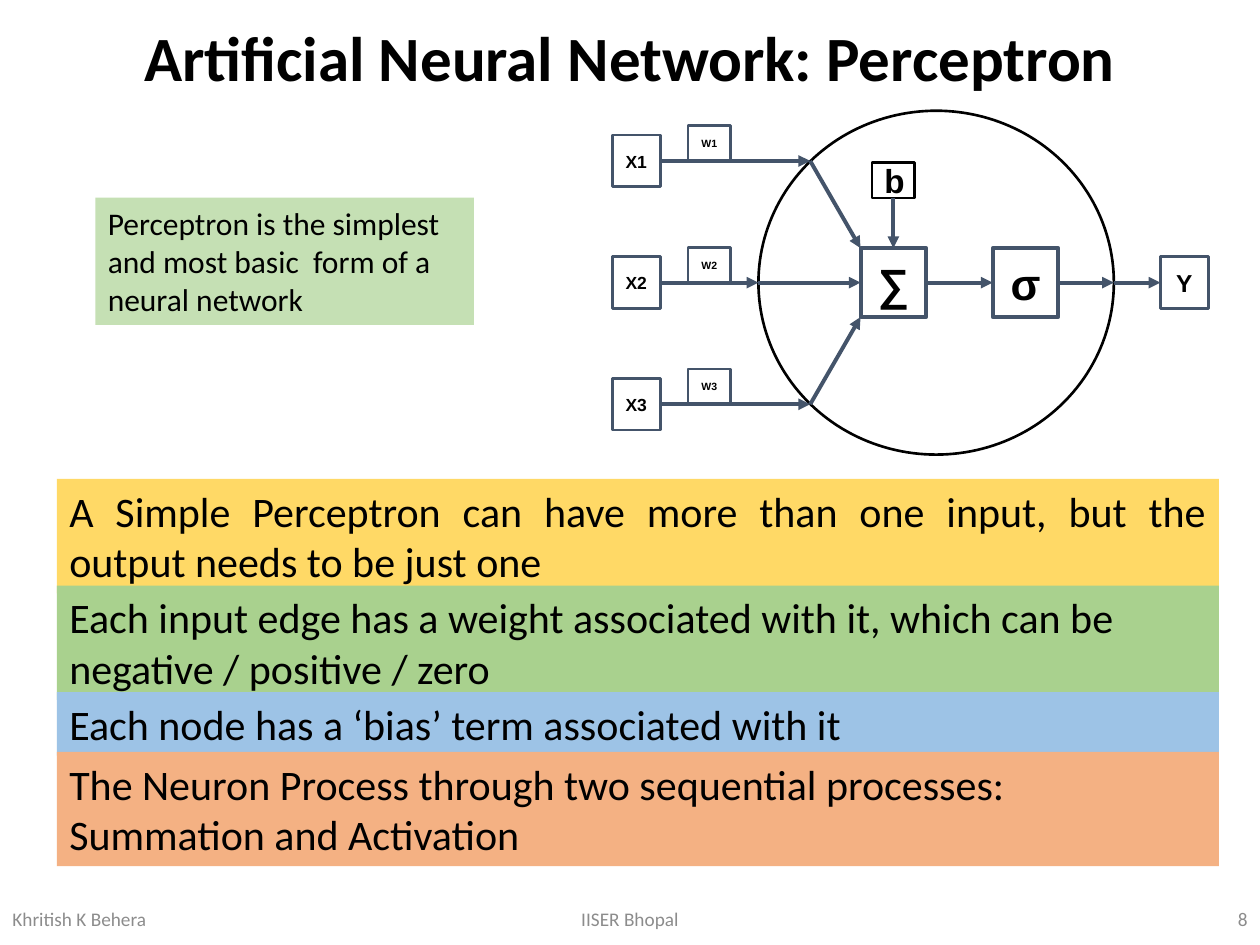
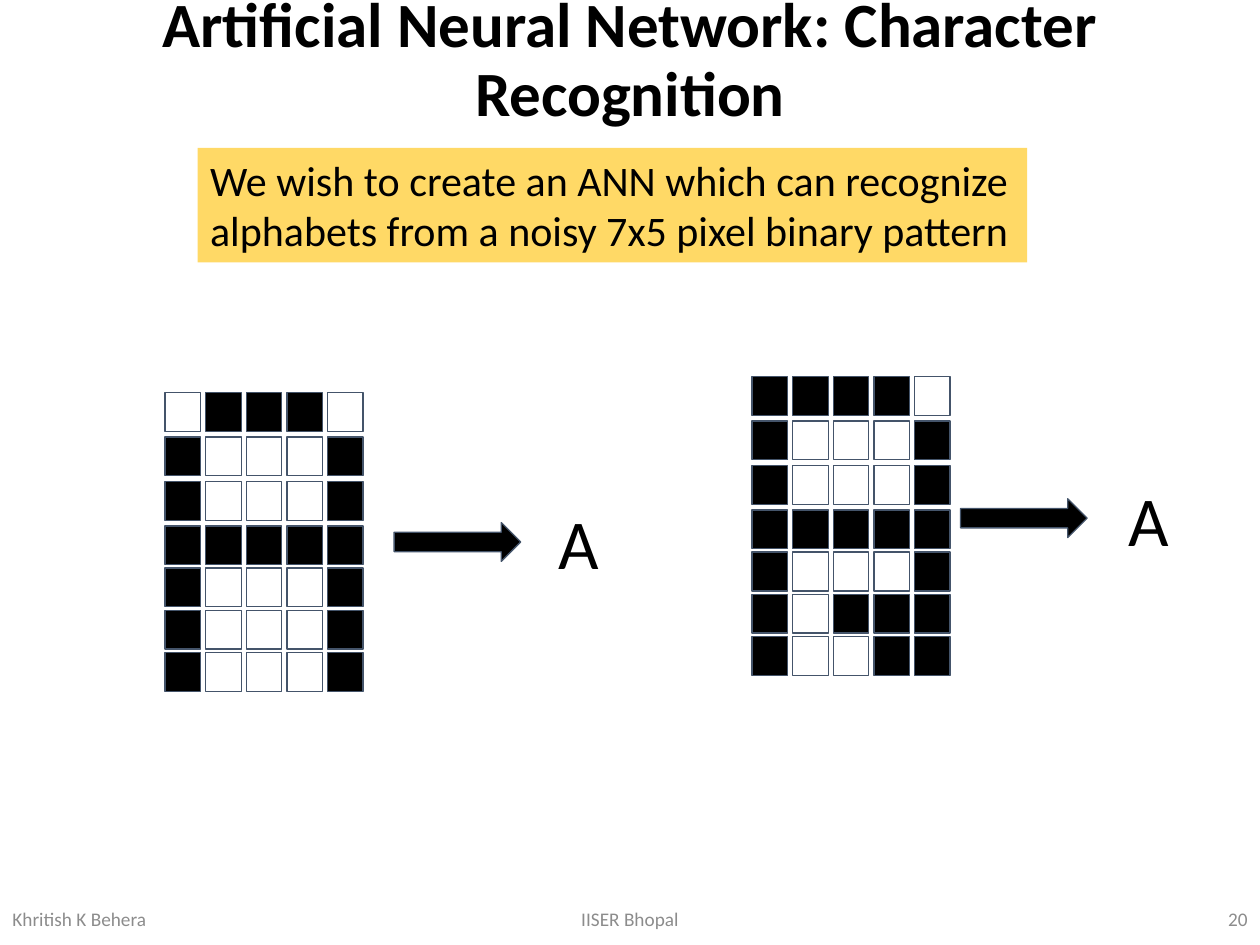
from dataclasses import dataclass

from lxml import etree
from pptx import Presentation
from pptx.dml.color import RGBColor
from pptx.enum.shapes import MSO_CONNECTOR as CONN, MSO_SHAPE as SHAPE
from pptx.enum.text import MSO_ANCHOR as ANCHOR, MSO_AUTO_SIZE as FIT, PP_ALIGN as ALIGN
from pptx.oxml.ns import qn
from pptx.util import Pt

TOP, LEFT, BOTTOM, RIGHT = range(4)  # connection sites of a rectangle


@dataclass(frozen=True)
class Theme:
    body: str = "Calibri"
    label: str = "Arial"
    black: str = "000000"
    white: str = "FFFFFF"
    slate: str = "44546A"
    gray: str = "8C8C8C"
    yellow: str = "FFD966"
    green: str = "A9D18E"
    pale_green: str = "C5E0B4"
    blue: str = "9DC3E6"
    orange: str = "F4B183"
    title_size: int = 36
    note_size: int = 24
    small_note_size: int = 18
    footer_size: int = 11
    letter_size: int = 40
    input_size: int = 10
    weight_size: int = 6
    bias_size: int = 19
    symbol_size: int = 25
    output_size: int = 14
    thin: float = 0.75
    medium: float = 1.5
    thick: float = 2.25


def write_text(sp, text, font, size, color, bold=False, align=ALIGN.LEFT,
               anchor=ANCHOR.TOP, inset=None, spacing=None, fit=FIT.NONE):
    """Put one formatted paragraph into a shape."""
    tf = sp.text_frame
    tf.word_wrap, tf.auto_size, tf.vertical_anchor = True, fit, anchor
    if inset is not None:
        tf.margin_left = tf.margin_right = Pt(inset)
        tf.margin_top = tf.margin_bottom = Pt(inset)
    p = tf.paragraphs[0]
    p.alignment = align
    if spacing:
        p.line_spacing = spacing
    r = p.add_run()
    r.text = text
    r.font.name, r.font.size, r.font.bold = font, Pt(size), bold
    r.font.color.rgb = RGBColor.from_string(color)


class Deck:
    """Holds the theme and the slide being drawn."""

    def __init__(self, theme):
        self.theme = theme
        self.prs = Presentation()
        self.prs.slide_width, self.prs.slide_height = Pt(720), Pt(540)
        self.s = None

    def start_slide(self, title, number):
        t = self.theme
        self.s = self.prs.slides.add_slide(self.prs.slide_layouts[5])
        sp = self.s.shapes.title
        sp.left, sp.top, sp.width, sp.height = Pt(0), Pt(0.7), Pt(720), Pt(69)
        write_text(sp, title, t.body, t.title_size, t.black, bold=True,
                   align=ALIGN.CENTER, anchor=ANCHOR.MIDDLE, spacing=0.9)
        # Footer: author, institute, page number
        for x, w, text, align in ((0, 162, "Khritish K Behera", ALIGN.LEFT),
                                  (238.5, 243, "IISER Bhopal", ALIGN.CENTER),
                                  (558, 162, str(number), ALIGN.RIGHT)):
            self.text(x, 510.5, w, 28.8, text, size=t.footer_size, color=t.gray,
                      align=align, anchor=ANCHOR.MIDDLE)

    def text(self, x, y, w, h, text, **fmt):
        sp = self.s.shapes.add_textbox(Pt(x), Pt(y), Pt(w), Pt(h))
        write_text(sp, text, **{"font": self.theme.body, "color": self.theme.black, **fmt})

    def shape(self, kind, x, y, w, h, fill=None, line=None, weight=None):
        sp = self.s.shapes.add_shape(kind, Pt(x), Pt(y), Pt(w), Pt(h))
        sp.shadow.inherit = False
        if fill:
            sp.fill.solid()
            sp.fill.fore_color.rgb = RGBColor.from_string(fill)
        else:
            sp.fill.background()
        if line:
            sp.line.color.rgb = RGBColor.from_string(line)
            sp.line.width = Pt(weight)
        else:
            sp.line.fill.background()
        return sp

    def note(self, x, y, w, h, text, fill, size=None, align=ALIGN.LEFT):
        t = self.theme
        sp = self.shape(SHAPE.RECTANGLE, x, y, w, h, fill)
        write_text(sp, text, t.body, size or t.note_size, t.black, align=align,
                   fit=FIT.SHAPE_TO_FIT_TEXT)

    def node(self, cx, cy, w, h, text, size, line=None, weight=None):
        """Labelled box placed by its centre."""
        t = self.theme
        sp = self.shape(SHAPE.RECTANGLE, cx - w / 2, cy - h / 2, w, h,
                        line=line or t.slate, weight=weight or t.medium)
        write_text(sp, text, t.label, size, t.black, bold=True, align=ALIGN.CENTER,
                   anchor=ANCHOR.MIDDLE, inset=7.2)
        return sp

    def arrow(self, start, end):
        """Each end is a point (x, y) or a joined side (shape, site)."""
        joins = [e if hasattr(e[0], "shape_id") else None for e in (start, end)]
        pts = [(0, 0) if j else e for j, e in zip(joins, (start, end))]
        c = self.s.shapes.add_connector(CONN.STRAIGHT, *(Pt(v) for pt in pts for v in pt))
        for join, connect in zip(joins, (c.begin_connect, c.end_connect)):
            if join:
                connect(*join)
        c.line.color.rgb = RGBColor.from_string(self.theme.slate)
        c.line.width = Pt(self.theme.thick)
        ln = c.line._get_or_add_ln()
        etree.SubElement(ln, qn("a:tailEnd"), type="triangle")
        etree.SubElement(c._element.spPr, qn("a:effectLst"))

    def pixel_letter(self, x, y, rows):
        """Grid of cells, '#' for black; the lower rows sit closer together."""
        t = self.theme
        for i, row in enumerate(rows):
            cy = y + 25.4 * min(i, 3) + 24.1 * max(i - 3, 0)
            for j, mark in enumerate(row):
                self.shape(SHAPE.RECTANGLE, x + 23.2 * j, cy, 20.3, 22.2,
                           t.black if mark == "#" else t.white, t.slate, t.thin)

    def recognition(self, grid, arrow, letter, rows):
        """Pixel pattern, block arrow and the letter it stands for."""
        t = self.theme
        self.pixel_letter(*grid, rows)
        self.shape(SHAPE.RIGHT_ARROW, *arrow, 72.3, 22.2, t.black, t.slate, t.thin)
        self.text(*letter, 59, 63.4, "A", size=t.letter_size, align=ALIGN.CENTER,
                  inset=7.2, fit=FIT.SHAPE_TO_FIT_TEXT)


def perceptron_slide(deck):
    t = deck.theme
    deck.start_slide("Artificial Neural Network: Perceptron", 8)

    # Neuron body and the boxes inside and after it
    mid, pitch = 161.5, 69.5
    neuron_left, neuron_right, entry_x = 433.4, 636.5, 463
    deck.shape(SHAPE.OVAL, neuron_left, 63.3, neuron_right - neuron_left, 196.5,
               t.white, t.black, t.medium)
    sum_x, sum_w, sum_h = 510.5, 37.5, 39.4
    total = deck.node(sum_x, mid, sum_w, sum_h, "∑", t.symbol_size, weight=t.thick)
    sigma = deck.node(586, mid, sum_w, sum_h, "σ", t.symbol_size, weight=t.thick)
    bias = deck.node(sum_x, 103, 24.5, 20.2, "b", t.bias_size, line=t.black)
    output = deck.node(676.8, mid, 27.5, 29.5, "Y", t.output_size)

    # Weighted inputs, each led to the neuron and on to the sum
    corner_x = sum_x - sum_w / 2
    targets = ((corner_x, mid - sum_h / 2), (total, LEFT), (corner_x, mid + sum_h / 2))
    for i, target in enumerate(targets):
        y = mid + pitch * (i - 1)
        entry = (neuron_left if i == 1 else entry_x, y)
        x_node = deck.node(363.6, y, 27.5, 29.5, f"X{i + 1}", t.input_size)
        deck.node(405.4, y - 10.1, 24.5, 20.2, f"W{i + 1}", t.weight_size)
        deck.arrow((x_node, RIGHT), entry)
        deck.arrow(entry, target)

    # Flow to the output
    deck.arrow((total, RIGHT), (sigma, LEFT))
    deck.arrow((bias, BOTTOM), (total, TOP))
    deck.arrow((sigma, RIGHT), (neuron_right, mid))
    deck.arrow((neuron_right, mid), (output, LEFT))

    # Notes
    for y, h, fill, align, text in (
            (273.7, 65.4, t.yellow, ALIGN.JUSTIFY,
             "A Simple Perceptron can have more than one input, "
             "but the output needs to be just one"),
            (334.6, 65.4, t.green, ALIGN.LEFT,
             "Each input edge has a weight associated with it, "
             "which can be negative / positive / zero"),
            (395.5, 36.3, t.blue, ALIGN.LEFT,
             "Each node has a ‘bias’ term associated with it"),
            (429.6, 65.4, t.orange, ALIGN.LEFT,
             "The Neuron Process through two sequential processes: "
             "Summation and Activation")):
        deck.note(32.5, y, 664, h, text, fill, align=align)
    deck.note(54.5, 113, 216.3, 72.7,
              "Perceptron is the simplest and most basic  form of a neural network",
              t.pale_green, size=t.small_note_size)


def recognition_slide(deck):
    deck.start_slide("Artificial Neural Network: Character Recognition", 20)

    # Clean and noisy patterns of the same letter
    deck.recognition((94.4, 224.3), (225.2, 298.6), (301, 278),
                     (".###.", "#...#", "#...#", "#####", "#...#", "#...#", "#...#"))
    deck.recognition((429.8, 215.2), (548.9, 285), (627, 265),
                     ("####.", "#...#", "#...#", "#####", "#...#", "#.###", "#..##"))

    # Goal
    deck.note(113, 84.5, 474, 65.4,
              "We wish to create an ANN which can recognize alphabets "
              "from a noisy 7x5 pixel binary pattern", deck.theme.yellow)


def main():
    deck = Deck(Theme())
    perceptron_slide(deck)
    recognition_slide(deck)
    deck.prs.save("out.pptx")


if __name__ == "__main__":
    main()
